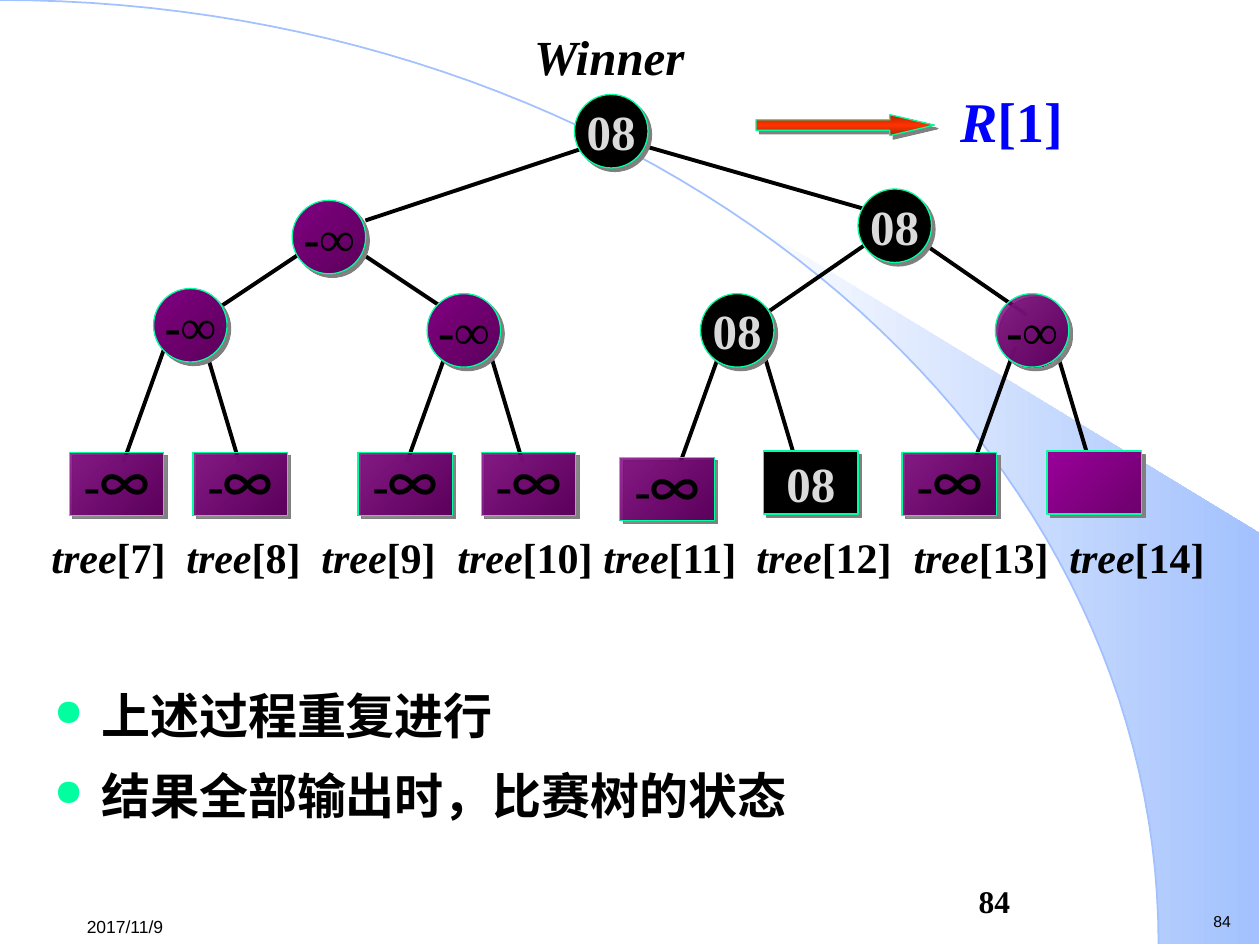
from math import cos, pi, sin

from lxml import etree
from pptx import Presentation
from pptx.dml.color import RGBColor
from pptx.enum.shapes import MSO_CONNECTOR, MSO_SHAPE
from pptx.enum.text import MSO_ANCHOR, MSO_AUTO_SIZE, PP_ALIGN
from pptx.oxml.ns import qn
from pptx.util import Pt

STRAIGHT = MSO_CONNECTOR.STRAIGHT
OVAL, RECTANGLE, RIGHT_ARROW = MSO_SHAPE.OVAL, MSO_SHAPE.RECTANGLE, MSO_SHAPE.RIGHT_ARROW
TOP, MIDDLE = MSO_ANCHOR.TOP, MSO_ANCHOR.MIDDLE
GROW, FIXED = MSO_AUTO_SIZE.SHAPE_TO_FIT_TEXT, MSO_AUTO_SIZE.NONE
CENTER, JUSTIFY = PP_ALIGN.CENTER, PP_ALIGN.JUSTIFY

BLACK = RGBColor(0x00, 0x00, 0x00)
WHITE = RGBColor(0xFF, 0xFF, 0xFF)
SILVER = RGBColor(0xDA, 0xDA, 0xDA)
GRAY = RGBColor(0x80, 0x80, 0x80)
MINT = RGBColor(0x00, 0xFF, 0x9F)
BLUE = RGBColor(0x00, 0x00, 0xFF)
SKY = RGBColor(0xA2, 0xC1, 0xFE)
PURPLE = RGBColor(0x80, 0x00, 0x80)
PLUM = RGBColor(0x5C, 0x00, 0x5C)
MAGENTA = RGBColor(0x99, 0x00, 0x99)
DARK_MAGENTA = RGBColor(0x6D, 0x00, 0x6D)
RED = RGBColor(0xFF, 0x33, 0x00)
DARK_RED = RGBColor(0xB6, 0x24, 0x00)

SERIF, SANS, CJK = "Times New Roman", "Arial", "Noto Sans CJK JP"
SOLID_PURPLE = [(0, PURPLE, 100), (100, PLUM, 100)]
FADED_PURPLE = [(0, PURPLE, 77), (100, PLUM, 100)]
LEAF_PURPLE = [(0, PURPLE, 82), (100, PLUM, 100)]
EMPTY_PURPLE = [(0, MAGENTA, 100), (100, DARK_MAGENTA, 100)]
ARROW_RED = [(0, DARK_RED, 100), (50, RED, 100), (100, DARK_RED, 100)]
MINUS_INFINITY = [("-∞", {})]
LEAF_INFINITY = [("-", {}), ("∞", {"name": CJK})]
WINNER_KEY = [("08", {"color": SILVER})]


def apply(target, formats):
    for key, value in formats.items():
        if key == "color":
            target.color.rgb = value
        else:
            setattr(target, key, value)


def add_xml(parent, tag, **attributes):
    return etree.SubElement(parent, qn(tag), attributes)


def paint_gradient(shape, stops, angle):
    shape.fill.gradient()
    shape.fill.gradient_angle = -angle % 360
    stop_list = shape._element.spPr.find(".//" + qn("a:gsLst"))
    for stop in list(stop_list):
        stop_list.remove(stop)
    for position, color, opacity in stops:
        stop = add_xml(stop_list, "a:gs", pos=str(position * 1000))
        tint = add_xml(stop, "a:srgbClr", val=str(color))
        if opacity < 100:
            add_xml(tint, "a:alpha", val=str(opacity * 1000))


def write(paragraph, runs, **base):
    for text, changes in runs:
        run = paragraph.add_run()
        run.text = text
        apply(run.font, {"name": SERIF, "color": BLACK, **base, **changes})


def add_label(slide, box, runs, wrap=False, grow=True, anchor=TOP, **font):
    label = slide.shapes.add_textbox(*map(Pt, box))
    apply(label.text_frame, {"word_wrap": wrap, "vertical_anchor": anchor,
                             "auto_size": GROW if grow else FIXED})
    write(label.text_frame.paragraphs[0], runs, **font)
    return label


def add_shadowed(slide, preset, box, paint, angle=45, runs=()):
    shape = slide.shapes.add_shape(preset, *map(Pt, box))
    if isinstance(paint, list):
        paint_gradient(shape, paint, angle)
    else:
        shape.fill.solid()
        shape.fill.fore_color.rgb = paint
    apply(shape.line, {"width": Pt(0.75)})
    shape.line.color.rgb = MINT
    shape.shadow.inherit = False
    effects = shape._element.spPr.find(qn("a:effectLst"))
    shadow = add_xml(effects, "a:outerShdw", dist=str(Pt(2.8)), dir="2700000",
                     algn="ctr", rotWithShape="0")
    add_xml(shadow, "a:srgbClr", val=str(GRAY))
    if runs:
        apply(shape.text_frame, {"word_wrap": False, "vertical_anchor": MIDDLE})
        shape.text_frame.paragraphs[0].alignment = CENTER
        write(shape.text_frame.paragraphs[0], runs, size=Pt(28), bold=True)
    return shape


def add_outline(slide, points, close):
    builder = slide.shapes.build_freeform(Pt(points[0][0]), Pt(points[0][1]))
    builder.add_line_segments([(Pt(x), Pt(y)) for x, y in points[1:]], close=close)
    outline = builder.convert_to_shape()
    outline.shadow.inherit = False
    return outline


def draw_backdrop(slide, left, top, width, height):
    rx, ry, steps = width * 0.92, height, 60
    arc = [(left + rx * sin(pi / 2 * i / steps), top + ry * (1 - cos(pi / 2 * i / steps)))
           for i in range(steps + 1)]
    tip = (left + width * 0.589, top + 124.6)
    edge = [point for point in arc if point[0] > tip[0] and point[1] > tip[1]]
    corner = [(left + width, top + height), (left + width, top + 304.6)]
    beam = add_outline(slide, [tip, *edge, *corner], True)
    paint_gradient(beam, [(0, WHITE, 100), (100, SKY, 100)], 0)
    beam.line.fill.background()
    curve = add_outline(slide, arc, False)
    curve.fill.background()
    curve.line.color.rgb = SKY
    curve.line.width = Pt(1)


def draw_branches(slide, left, top):
    branches = [(331.2, 30.2, 457.2, 66.2), (169.2, 72, 295.2, 30.2),
                (457.2, 84.2, 396.7, 126), (157, 84.2, 211, 120.2),
                (486.7, 84.2, 547.2, 126), (133.2, 90, 79.2, 126)]
    for x in (54.7, 216.7, 373, 540.7):
        branches += [(x, 144, x - 23.8, 210.2), (x + 24.4, 149.8, x + 42.4, 210.2)]
    for x1, y1, x2, y2 in branches:
        branch = slide.shapes.add_connector(STRAIGHT, Pt(left + x1), Pt(top + y1),
                                            Pt(left + x2), Pt(top + y2))
        branch.line.color.rgb = BLACK
        branch.line.width = Pt(2.25)
        add_xml(branch._element.spPr, "a:effectLst")


def draw_tree(slide, left, top):
    draw_branches(slide, left, top)
    matches = [(288.7, 0, BLACK, WINNER_KEY), (127.4, 60.5, SOLID_PURPLE, MINUS_INFINITY),
               (450.7, 54, BLACK, WINNER_KEY), (48.2, 110.9, SOLID_PURPLE, MINUS_INFINITY),
               (204.5, 113.8, SOLID_PURPLE, MINUS_INFINITY), (360.7, 113.8, BLACK, WINNER_KEY),
               (529.2, 113.8, FADED_PURPLE, MINUS_INFINITY)]
    for x, y, paint, runs in matches:
        add_shadowed(slide, OVAL, (left + x, top + y, 42, 42), paint, runs=runs)
    leaves = [(x, 204.5, LEAF_PURPLE, LEAF_INFINITY) for x in (0, 70.6, 164.9, 235.4, 475.9)]
    leaves += [(314.6, 207.4, LEAF_PURPLE, LEAF_INFINITY),
               (396.7, 203.8, BLACK, WINNER_KEY), (558.7, 203.8, EMPTY_PURPLE, ())]
    for x, y, paint, runs in leaves:
        add_shadowed(slide, RECTANGLE, (left + x, top + y, 54, 36), paint, runs=runs)


def draw_result(slide, left, top):
    add_label(slide, (left, top, 108.7, 41), [("Winner", {})],
              size=Pt(28), bold=True, italic=True)
    arrow = add_shadowed(slide, RIGHT_ARROW, (left + 133.9, top + 54, 102, 12), ARROW_RED, 90)
    arrow.adjustments[0], arrow.adjustments[1] = 0.5, 2.125
    add_label(slide, (left + 243.4, top + 34.6, 73.4, 45.4),
              [("R", {"italic": True}), ("[1]", {})], size=Pt(32), bold=True, color=BLUE)


def draw_indices(slide, box):
    runs = []
    for index in range(7, 15):
        ending = "\t" if index < 14 else ""
        runs += [("tree", {"italic": True}), (f"[{index}]{ending}", {"italic": False})]
    indices = add_label(slide, box, runs, wrap=True, size=Pt(24), bold=True)
    properties = indices.text_frame.paragraphs[0]._p.get_or_add_pPr()
    stops = add_xml(properties, "a:tabLst")
    for position in (77.1, 154.3, 232, 315.4, 402.9, 492.6, 581.7):
        add_xml(stops, "a:tab", pos=str(Pt(position)), algn="l")


def draw_notes(slide, box, notes):
    frame = slide.shapes.add_textbox(*map(Pt, box)).text_frame
    frame.word_wrap = True
    for number, note in enumerate(notes):
        paragraph = frame.add_paragraph() if number else frame.paragraphs[0]
        apply(paragraph, {"alignment": JUSTIFY, "line_spacing": 1.35})
        write(paragraph, [(note, {})], size=Pt(28), bold=True)
        properties = paragraph._p.get_or_add_pPr()
        properties.set("marL", str(Pt(27)))
        properties.set("indent", str(Pt(-27)))
        add_xml(add_xml(properties, "a:buClr"), "a:srgbClr", val=str(MINT))
        add_xml(properties, "a:buSzPct", val="75000")
        add_xml(properties, "a:buChar", char="●")


def draw_footer(slide, left, top):
    add_label(slide, (left + 643.7, top + 17.3, 25.2, 18), [("84", {})], name=SANS, size=Pt(9))
    add_label(slide, (left, top + 18, 73.4, 21.6), [("2017/11/9", {})],
              grow=False, anchor=MIDDLE, name=SANS, size=Pt(10))
    add_label(slide, (left + 509.7, top, 167.8, 28.8), [("84", {})],
              wrap=True, grow=False, size=Pt(18), bold=True)


def main():
    deck = Presentation()
    deck.slide_width, deck.slide_height = Pt(720), Pt(540)
    slide = deck.slides.add_slide(deck.slide_layouts[6])
    draw_backdrop(slide, 0, 0, 719.6, 539.3)
    draw_notes(slide, (23.8, 376.6, 673.2, 146.2),
               ["上述过程重复进行", "结果全部输出时，比赛树的状态"])
    draw_tree(slide, 39.6, 54)
    draw_result(slide, 298.1, 11.5)
    draw_indices(slide, (22.3, 300.2, 678.2, 36))
    draw_footer(slide, 42.5, 500.4)
    deck.save("out.pptx")


if __name__ == "__main__":
    main()
